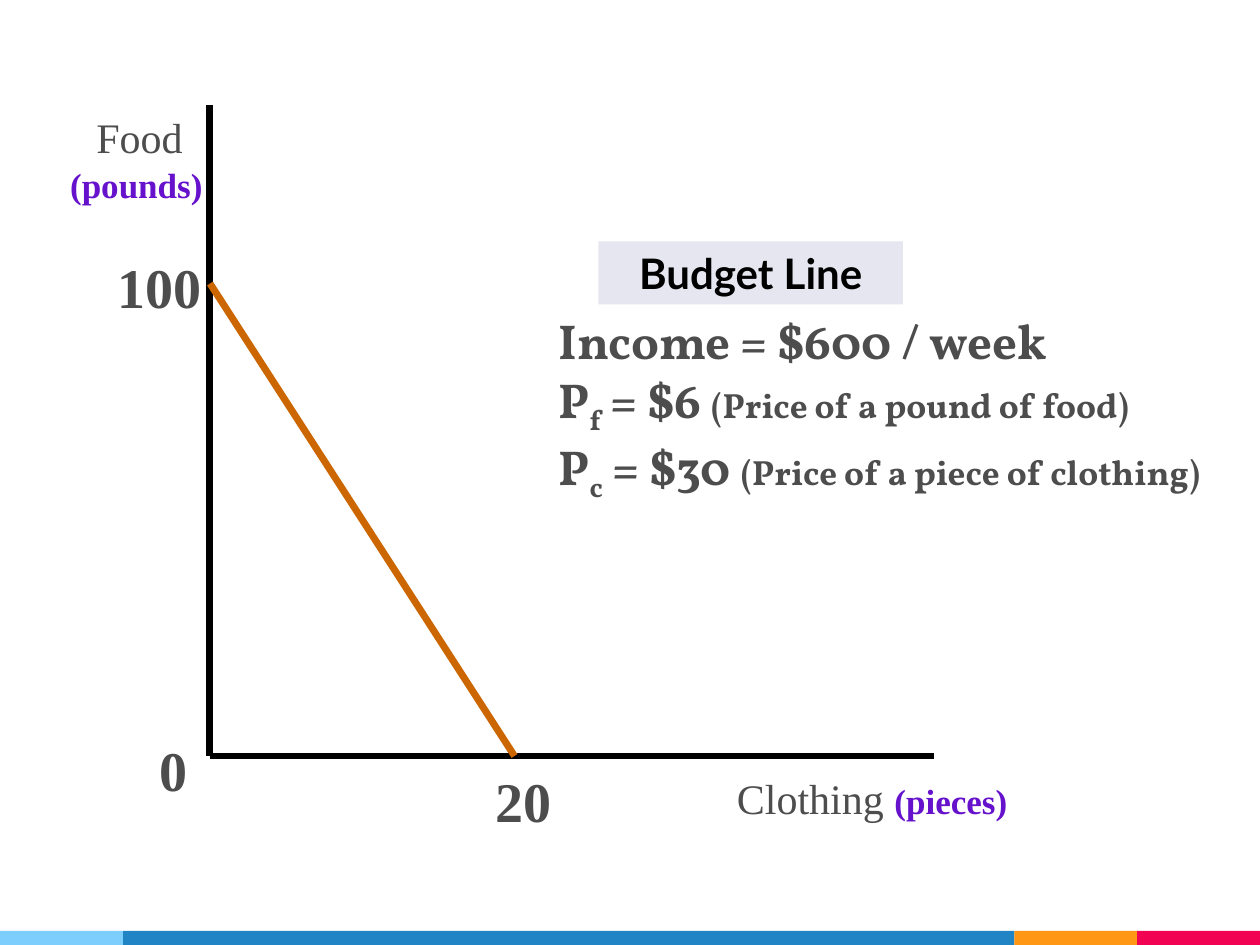
"""Build a slide with a budget line drawn on food and clothing axes."""
import pptx
import pptx.util
import pptx.dml.color
import pptx.enum.shapes
import pptx.enum.text
import pptx.oxml.ns
import lxml.etree

Pt = pptx.util.Pt
ANCHOR = pptx.enum.text.MSO_ANCHOR
RECT = pptx.enum.shapes.MSO_SHAPE.RECTANGLE
LINE = pptx.enum.shapes.MSO_CONNECTOR.STRAIGHT

THEME = {
    "serif": "Times New Roman", "body": "Vollkorn", "sans": "Lato",
    "gray": "4D4D4D", "violet": "6611CC", "black": "000000",
    "orange": "CC6600", "pale": "E6E6F0",
    "small": 20, "label": 24, "large": 28, "tick": 32, "stroke": 4,
}
STYLES = {
    "label": ("serif", "label", "gray", False, 0),
    "unit": ("serif", "small", "violet", True, 0),
    "tick": ("serif", "tick", "gray", True, 0),
    "fact": ("body", "large", "gray", True, 0),
    "sub": ("body", "large", "gray", True, -25000),
    "note": ("body", "small", "gray", True, 0),
    "title": ("sans", "label", "black", True, 0),
}
WIDTH, HEIGHT = 720, 540
BAND = 8
STRIPES = [(70.4, "7ECEFD"), (509.2, "2185C5"), (70.2, "FF9715"), (70.2, "F20253")]

ZERO = (120, 432)
LINES = [
    ((120, 60), ZERO, "black"),
    (ZERO, (534, 432), "black"),
    ((120, 162), (294, 432), "orange"),
]
FACTS = [
    [("Income = $600 / week", "fact")],
    [("P", "fact"), ("f", "sub"), (" = $6 ", "fact"),
     ("(Price of a pound of food)", "note")],
    [("P", "fact"), ("c", "sub"), (" = $30 ", "fact"),
     ("(Price of a piece of clothing)", "note")],
]
TEXTS = [
    ((414, 420, 240, 54), ANCHOR.BOTTOM, [[("Clothing ", "label"), ("(pieces)", "unit")]]),
    ((48, 42, 96, 54), ANCHOR.BOTTOM, [[("Food", "label")]]),
    ((84, 414, 42, 48), ANCHOR.BOTTOM, [[("0", "tick")]]),
    ((276, 432, 66, 48), ANCHOR.BOTTOM, [[("20", "tick")]]),
    ((60, 138, 78, 48), ANCHOR.BOTTOM, [[("100", "tick")]]),
    ((33, 90, 102, 32), ANCHOR.TOP, [[("(pounds)", "unit")]]),
    ((312, 48, 390, 243), ANCHOR.BOTTOM, FACTS),
]
TITLE = ((342, 138, 174, 36), [[("Budget Line", "title")]])


def rgb(code):
    return pptx.dml.color.RGBColor.from_string(code)


def add_rect(slide, box, code):
    shape = slide.shapes.add_shape(RECT, *map(Pt, box))
    shape.shadow.inherit = False
    shape.fill.solid()
    shape.fill.fore_color.rgb = rgb(code)
    shape.line.fill.background()
    return shape


def add_line(slide, start, end, name):
    line = slide.shapes.add_connector(LINE, *map(Pt, start + end))
    line.line.color.rgb = rgb(THEME[name])
    line.line.width = Pt(THEME["stroke"])
    props = line._element.spPr
    lxml.etree.SubElement(props, pptx.oxml.ns.qn("a:effectLst"))


def write(shape, rows, anchor, align=pptx.enum.text.PP_ALIGN.LEFT):
    frame = shape.text_frame
    frame.word_wrap = True
    frame.vertical_anchor = anchor
    for index, row in enumerate(rows):
        para = frame.add_paragraph() if index else frame.paragraphs[0]
        para.alignment = align
        for text, style in row:
            face, size, color, bold, shift = STYLES[style]
            run = para.add_run()
            run.text = text
            run.font.name = THEME[face]
            run.font.size = Pt(THEME[size])
            run.font.color.rgb = rgb(THEME[color])
            run.font.bold = bold
            if shift:
                run._r.get_or_add_rPr().set("baseline", str(shift))


def main():
    deck = pptx.Presentation()
    deck.slide_width, deck.slide_height = Pt(WIDTH), Pt(HEIGHT)
    slide = deck.slides.add_slide(deck.slide_layouts[6])

    left = 0
    for width, code in STRIPES:
        add_rect(slide, (left, HEIGHT - BAND, width, BAND), code)
        left += width

    for start, end, name in LINES:
        add_line(slide, start, end, name)

    for box, anchor, rows in TEXTS:
        write(slide.shapes.add_textbox(*map(Pt, box)), rows, anchor)

    box, rows = TITLE
    plate = add_rect(slide, box, THEME["pale"])
    write(plate, rows, ANCHOR.TOP, pptx.enum.text.PP_ALIGN.CENTER)
    deck.save("out.pptx")


if __name__ == "__main__":
    main()
